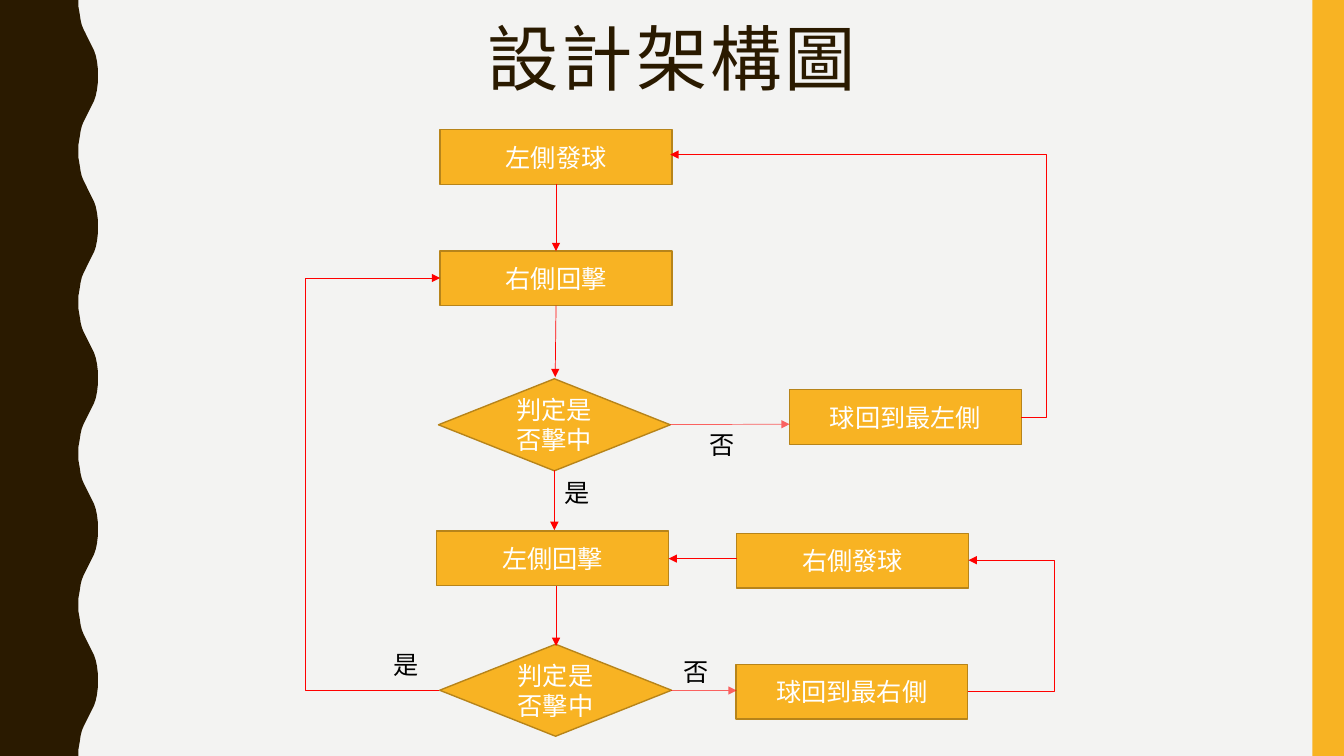
from lxml import etree
from pptx import Presentation
from pptx import util as u
from pptx.dml.color import RGBColor
from pptx.enum import shapes, text
from pptx.oxml import ns

COLUMNS, ROWS = 160, 90
WIDTH, HEIGHT = u.Inches(13.333), u.Inches(7.5)

PAPER = RGBColor(0xF3, 0xF3, 0xF2)
BROWN = RGBColor(0x2A, 0x1A, 0x00)
AMBER = RGBColor(0xF8, 0xB3, 0x23)
OCHRE = RGBColor(0xB7, 0x84, 0x1A)
RED = RGBColor(0xFF, 0x00, 0x00)
WHITE = RGBColor(0xFF, 0xFF, 0xFF)
BLACK = RGBColor(0x00, 0x00, 0x00)

NODE_WIDTH, STEP_HEIGHT, DECISION_HEIGHT = 27.6, 6.5, 10.95
WAVE_PERIOD = 18
WAVE_RISE = [
    (9.35, 0), (9.35, 0.85), (9.5, 1.7), (9.6, 2.4), (9.75, 3),
    (9.95, 3.5), (10.2, 4), (10.45, 4.5), (10.7, 5), (10.95, 5.5),
    (11.2, 6), (11.4, 6.6), (11.55, 7.3), (11.65, 8.15),
]

STEPS = [
    ("左側發球", 52.4, 15.45),
    ("右側回擊", 52.4, 29.9),
    ("左側回擊", 52, 63.2),
    ("球回到最左側", 94, 46.4),
    ("右側發球", 87.7, 63.5),
    ("球回到最右側", 87.6, 79.1),
]
DECISIONS = [("判定是否擊中", 52.2, 45.1), ("判定是否擊中", 52.35, 76.7)]
ANSWERS = [
    ("是", 66, 56.2),
    ("否", 83.3, 50.5),
    ("是", 45.7, 76.7),
    ("否", 80.2, 77.5),
]
ARROWS = [
    ((66.2, 21.9), (66.2, 29.9)),
    ((66.2, 36.4), (66.1, 44.9)),
    ((66, 56), (66, 63.1)),
    ((66.2, 69.8), (66.2, 76.9)),
    ((87.7, 66.5), (79.6, 66.5)),
]
FAINT_ARROWS = [
    ((79.8, 50.55), (94, 50.5)),
    ((79.9, 82.2), (87.7, 82.2)),
]
RETURNS = [
    ((52.3, 82.2), (52.4, 33.1), 36.2),
    ((121.6, 49.7), (79.8, 18.4), 124.6),
    ((115.2, 82.3), (115.3, 66.7), 125.6),
]


def grid(column, row):
    return round(WIDTH * column / COLUMNS), round(HEIGHT * row / ROWS)


def paint(shape, fill, outline=None):
    shape.shadow.inherit = False
    shape.fill.solid()
    shape.fill.fore_color.rgb = fill
    if outline is None:
        shape.line.fill.background()
    else:
        shape.line.color.rgb = outline
        shape.line.width = u.Pt(1)


def write(shape, words, size=18, font="Cabin", color=WHITE, spacing=None,
          line_spacing=None, align=text.PP_ALIGN.CENTER,
          anchor=text.MSO_ANCHOR.MIDDLE):
    frame = shape.text_frame
    frame.word_wrap = True
    frame.vertical_anchor = anchor
    paragraph = frame.paragraphs[0]
    paragraph.alignment = align
    if line_spacing:
        paragraph.line_spacing = line_spacing
    run = paragraph.add_run()
    run.text = words
    run.font.size = u.Pt(size)
    run.font.name = font
    run.font.color.rgb = color
    if spacing:
        run.font._element.set("spc", str(spacing * 100))


def add_block(slide, kind, column, row, columns, rows, fill, outline=None):
    block = slide.shapes.add_shape(kind, *grid(column, row), *grid(columns, rows))
    paint(block, fill, outline)
    return block


def add_node(slide, kind, words, column, row, rows):
    node = add_block(slide, kind, column, row, NODE_WIDTH, rows, AMBER, OCHRE)
    write(node, words)


def add_words(slide, words, column, row, columns, rows, **style):
    box = slide.shapes.add_textbox(*grid(column, row), *grid(columns, rows))
    write(box, words, anchor=text.MSO_ANCHOR.TOP, **style)


def add_arrow(slide, start, end, bend=None, opacity=None):
    kind = shapes.MSO_CONNECTOR.STRAIGHT if bend is None else shapes.MSO_CONNECTOR.ELBOW
    arrow = slide.shapes.add_connector(kind, *grid(*start), *grid(*end))
    arrow.line.color.rgb = RED
    arrow.line.width = u.Pt(0.5)
    properties = arrow._element.spPr
    line = properties.find(ns.qn("a:ln"))
    etree.SubElement(line, ns.qn("a:tailEnd"), type="triangle")
    etree.SubElement(properties, ns.qn("a:effectLst"))
    if opacity:
        red = line.find(".//" + ns.qn("a:srgbClr"))
        etree.SubElement(red, ns.qn("a:alpha"), val=str(opacity * 1000))
    if bend is not None:
        share = (bend - start[0]) / (end[0] - start[0])
        adjustments = properties.find(ns.qn("a:prstGeom")).get_or_add_avLst()
        etree.SubElement(adjustments, ns.qn("a:gd"), name="adj1",
                         fmla=f"val {round(share * 100000)}")


def add_wave(slide):
    fall = [(column, WAVE_PERIOD - row) for column, row in reversed(WAVE_RISE)]
    period = WAVE_RISE + [(11.65, WAVE_PERIOD / 2)] + fall
    edge = [grid(column, row + top)
            for top in range(0, ROWS, WAVE_PERIOD) for column, row in period]
    outline = slide.shapes.build_freeform(0, 0)
    outline.add_line_segments(edge + [grid(0, ROWS)], close=True)
    paint(outline.convert_to_shape(), BROWN)


def main():
    deck = Presentation()
    deck.slide_width, deck.slide_height = WIDTH, HEIGHT
    slide = deck.slides.add_slide(deck.slide_layouts[6])
    slide.background.fill.solid()
    slide.background.fill.fore_color.rgb = PAPER

    add_wave(slide)
    add_block(slide, shapes.MSO_SHAPE.RECTANGLE, 156.25, 0, 3.75, ROWS, AMBER)
    add_words(slide, "設計架構圖", 11, 2.3, 138, 17.4, size=51,
              font="Arial Narrow", color=BROWN, spacing=2, line_spacing=0.9)

    for words, column, row in STEPS:
        add_node(slide, shapes.MSO_SHAPE.RECTANGLE, words, column, row, STEP_HEIGHT)
    for words, column, row in DECISIONS:
        add_node(slide, shapes.MSO_SHAPE.DIAMOND, words, column, row, DECISION_HEIGHT)
    for start, end in ARROWS:
        add_arrow(slide, start, end)
    for start, end in FAINT_ARROWS:
        add_arrow(slide, start, end, opacity=60)
    for start, end, bend in RETURNS:
        add_arrow(slide, start, end, bend=bend)
    for words, column, row in ANSWERS:
        add_words(slide, words, column, row, 4.4, 4.8, color=BLACK,
                  align=text.PP_ALIGN.LEFT)

    deck.save("out.pptx")


main()
